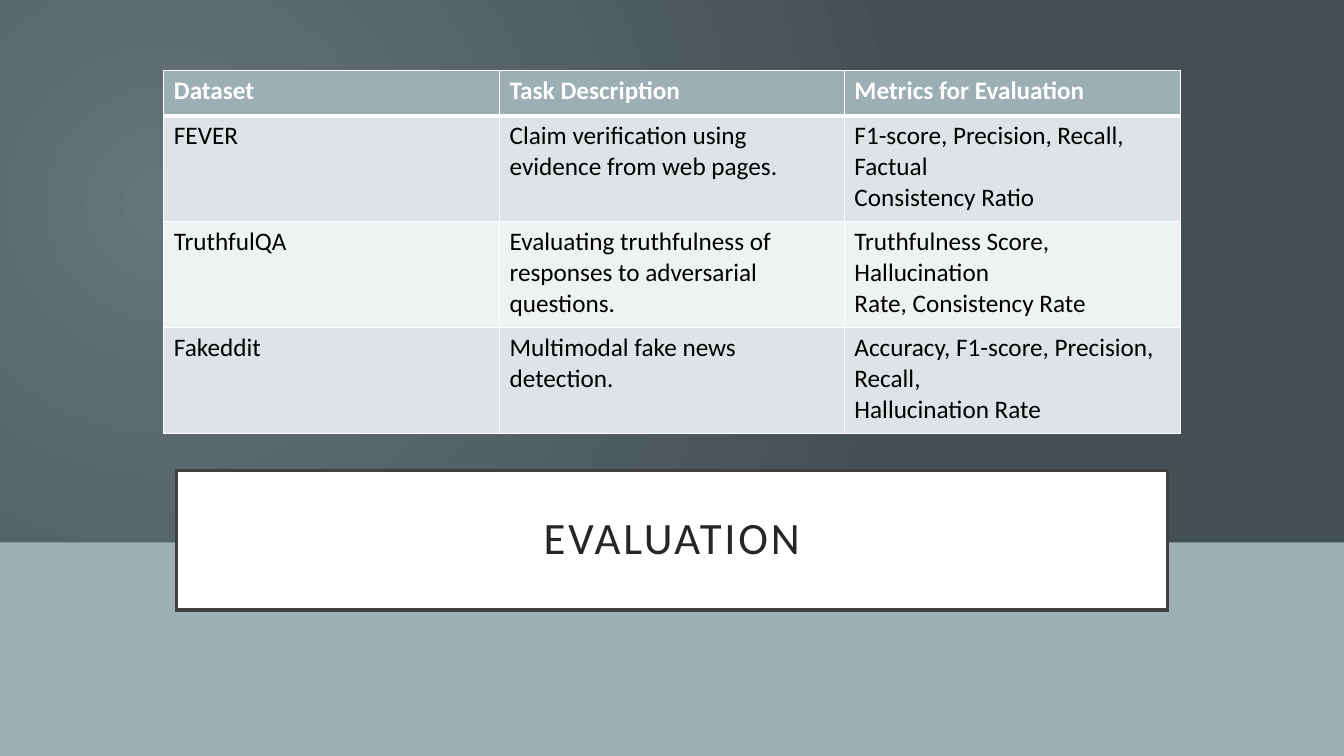
"""Build the evaluation slide: a dataset table above a framed title."""
from lxml.etree import SubElement
from pptx import Presentation
from pptx.dml.color import RGBColor
from pptx.enum.shapes import MSO_SHAPE
from pptx.enum.text import MSO_ANCHOR, MSO_AUTO_SIZE, PP_ALIGN
from pptx.oxml.ns import qn
from pptx.util import Inches, Pt

TITLE = "EVALUATION"
ROWS = [
    ("Dataset", "Task Description", "Metrics for Evaluation"),
    ("FEVER", "Claim verification using\nevidence from web pages.",
     "F1-score, Precision, Recall, Factual\nConsistency Ratio"),
    ("TruthfulQA", "Evaluating truthfulness of\nresponses to adversarial\nquestions.",
     "Truthfulness Score, Hallucination\nRate, Consistency Rate"),
    ("Fakeddit", "Multimodal fake news detection.",
     "Accuracy, F1-score, Precision, Recall,\nHallucination Rate"),
]
COLORS = {"glow": "65747A", "dusk": "444F53", "accent": "9BAFB5", "white": "FFFFFF",
          "frame": "404040", "title": "262626", "body": "000000",
          "odd": "DEE3E5", "even": "EFF2F3"}
WIDTH, HEIGHT = 13.33, 7.5
BAND_TOP = 5.38
TITLE_BOX = (1.75, 4.67, 9.83, 1.38)
COLUMNS = (3.33, 3.42, 3.33)
ROW_HEIGHTS = (0.45, 1.05, 1.05, 1.05)
TABLE_TOP = 0.7
GLOW_FOCUS = {"l": "50000", "t": "55000", "r": "125000", "b": "100000"}


def color(name):
    """Return the named palette color."""
    return RGBColor.from_string(COLORS[name])


def write(frame, text, size=18, ink="body", bold=False, align=PP_ALIGN.LEFT,
          line_spacing=None, tracking=None):
    """Write text into a frame, one paragraph per line."""
    frame.word_wrap = True
    for index, line in enumerate(text.split("\n")):
        para = frame.add_paragraph() if index else frame.paragraphs[0]
        para.alignment = align
        para.line_spacing = line_spacing
        span = para.add_run()
        span.text = line
        span.font.name = "Calibri"
        span.font.size = Pt(size)
        span.font.bold = bold
        span.font.color.rgb = color(ink)
        if tracking:
            span.font._element.set("spc", str(tracking * 100))


def add_panel(page, top):
    """Add a full-width borderless rectangle from top to the slide's foot."""
    panel = page.shapes.add_shape(MSO_SHAPE.RECTANGLE, 0, Inches(top),
                                  Inches(WIDTH), Inches(HEIGHT - top))
    panel.shadow.inherit = False
    panel.line.fill.background()
    return panel


def add_glow(page, fills):
    """Give the fills a circular gradient."""
    for fill in fills:
        fill.gradient()
        for stop, name, position in zip(fill.gradient_stops, ("glow", "dusk"), (0, 1)):
            stop.color.rgb = color(name)
            stop.position = position
    for gradient in page.element.iter(qn("a:gradFill")):
        gradient.remove(gradient.find(qn("a:lin")))
        circle = SubElement(gradient, qn("a:path"), {"path": "circle"})
        SubElement(circle, qn("a:fillToRect"), GLOW_FOCUS)


def add_title(page):
    """Format the title placeholder and bring it above the panels."""
    box = page.shapes.title
    box.left, box.top, box.width, box.height = map(Inches, TITLE_BOX)
    box.fill.solid()
    box.fill.fore_color.rgb = color("white")
    box.line.color.rgb = color("frame")
    box.line.width = Pt(2.5)
    SubElement(box.line._ln, qn("a:miter"), {"lim": "800000"})
    frame = box.text_frame
    frame.auto_size = MSO_AUTO_SIZE.NONE
    frame.vertical_anchor = MSO_ANCHOR.MIDDLE
    frame.margin_left = frame.margin_right = Inches(0.3)
    frame.margin_top = frame.margin_bottom = Inches(0.2)
    write(frame, TITLE, size=32, ink="title", align=PP_ALIGN.CENTER,
          line_spacing=0.9, tracking=2)
    box.element.getparent().append(box.element)


def add_borders(cell, row):
    """Draw white borders, thicker below the header row."""
    widths = {"lnL": 1, "lnR": 1, "lnT": 3 if row == 1 else 1, "lnB": 3 if row == 0 else 1}
    properties = cell._tc.get_or_add_tcPr()
    for index, (side, width) in enumerate(widths.items()):
        line = SubElement(properties, qn(f"a:{side}"), {"w": str(Pt(width))})
        SubElement(SubElement(line, qn("a:solidFill")), qn("a:srgbClr"), {"val": COLORS["white"]})
        properties.insert(index, line)


def add_dataset_table(page):
    """Add the dataset table, centred on the slide."""
    width = sum(COLUMNS)
    table = page.shapes.add_table(
        len(ROWS), len(COLUMNS), Inches((WIDTH - width) / 2), Inches(TABLE_TOP),
        Inches(width), Inches(sum(ROW_HEIGHTS))).table
    for column, column_width in zip(table.columns, COLUMNS):
        column.width = Inches(column_width)
    for row, values in enumerate(ROWS):
        table.rows[row].height = Inches(ROW_HEIGHTS[row])
        header = row == 0
        shade = "accent" if header else ("even", "odd")[row % 2]
        for column, text in enumerate(values):
            cell = table.cell(row, column)
            cell.fill.solid()
            cell.fill.fore_color.rgb = color(shade)
            write(cell.text_frame, text, ink="white" if header else "body", bold=header)
            add_borders(cell, row)


def main():
    """Assemble and save the deck."""
    deck = Presentation()
    deck.slide_width, deck.slide_height = Inches(WIDTH), Inches(HEIGHT)
    page = deck.slides.add_slide(deck.slide_layouts[5])
    backdrop = add_panel(page, 0)
    add_glow(page, (page.background.fill, backdrop.fill))
    band = add_panel(page, BAND_TOP)
    band.fill.solid()
    band.fill.fore_color.rgb = color("accent")
    add_title(page)
    add_dataset_table(page)
    deck.save("out.pptx")


if __name__ == "__main__":
    main()
